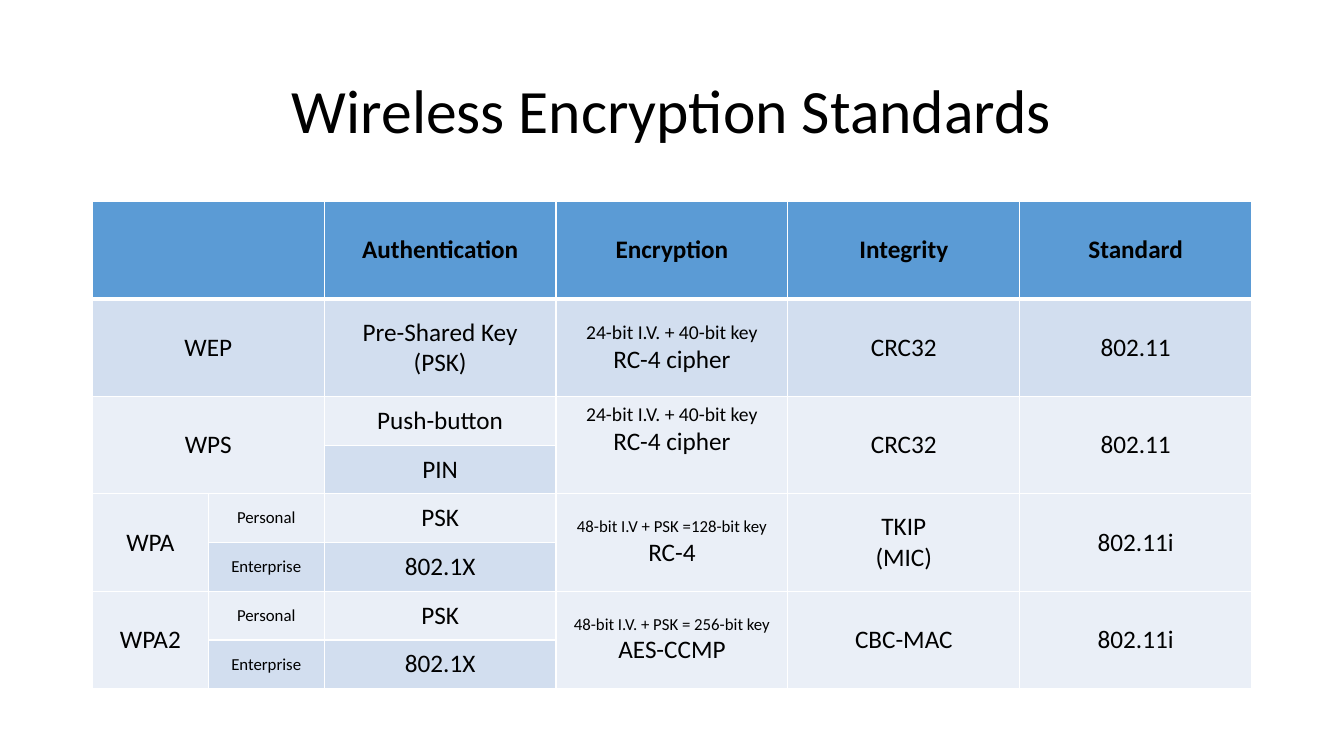
from pptx import Presentation
from pptx import util as u
from pptx.dml.color import RGBColor
from pptx.enum import text
from pptx.oxml import parse_xml
from pptx.oxml.ns import nsdecls

PX = u.Inches(1) // 300  # 300 px to the inch
BLACK, WHITE = "000000", "FFFFFF"
HEADER, DARK_BAND, LIGHT_BAND = "5B9BD5", "D2DEEF", "EAEFF7"

COLUMNS = [345, 345, 690, 690, 690, 690]
ROWS = [290, 290] + [145] * 6

# Each cell lists its lines; a (text, size) pair overrides the 18 pt default
PERSONAL, ENTERPRISE = [("Personal", 12)], [("Enterprise", 12)]
WEP_CIPHER = [("24-bit I.V. + 40-bit key", 14), "RC-4 cipher"]
CELLS = [
    [[], [], ["Authentication"], ["Encryption"], ["Integrity"], ["Standard"]],
    [["WEP"], [], ["Pre-Shared Key", "(PSK)"], WEP_CIPHER, ["CRC32"], ["802.11"]],
    [["WPS"], [], ["Push-button"], WEP_CIPHER, ["CRC32"], ["802.11"]],
    [[], [], ["PIN"]],
    [["WPA"], PERSONAL, ["PSK"], [("48-bit I.V + PSK =128-bit key", 12), "RC-4"],
     ["TKIP", "(MIC)"], ["802.11i"]],
    [[], ENTERPRISE, ["802.1X"]],
    [["WPA2"], PERSONAL, ["PSK"],
     [("48-bit I.V. + PSK = 256-bit key", 12), "AES-CCMP"], ["CBC-MAC"], ["802.11i"]],
    [[], ENTERPRISE, ["802.1X"]],
]


def px(n):
    return u.Emu(n * PX)


def color(value):
    return RGBColor.from_string(value)


def write_line(p, line, size, bold=False):
    p.alignment = text.PP_ALIGN.CENTER
    r = p.add_run()
    r.text = line
    fmt = {"name": "Calibri", "size": u.Pt(size), "bold": bold}
    for name, value in fmt.items():
        setattr(r.font, name, value)
    r.font.color.rgb = color(BLACK)


def set_borders(cell, widths):
    tc_pr = cell._tc.get_or_add_tcPr()
    for side in "LRTB":
        tc_pr.append(parse_xml(
            f'<a:ln{side} {nsdecls("a")} w="{u.Pt(widths.get(side, 1))}">'
            f'<a:solidFill><a:srgbClr val="{WHITE}"/></a:solidFill></a:ln{side}>'))


def add_title(s, box, title):
    sp = s.shapes.title
    for name, value in zip(("left", "top", "width", "height"), box):
        setattr(sp, name, px(value))
    tf = sp.text_frame
    tf.vertical_anchor = text.MSO_ANCHOR.MIDDLE
    tf.paragraphs[0].line_spacing = 0.9
    write_line(tf.paragraphs[0], title, 44)


def fill_cell(cell, row, lines):
    # Thick rule between the header and the body
    set_borders(cell, {0: {"B": 3}, 1: {"T": 3}}.get(row, {}))
    cell.fill.solid()
    band = DARK_BAND if row % 2 else LIGHT_BAND
    cell.fill.fore_color.rgb = color(band if row else HEADER)
    cell.vertical_anchor = text.MSO_ANCHOR.MIDDLE
    tf = cell.text_frame
    for i, line in enumerate(lines):
        p = tf.add_paragraph() if i else tf.paragraphs[0]
        words, size = line if isinstance(line, tuple) else (line, 18)
        write_line(p, words, size, bold=row == 0)


def add_standards_table(s, box):
    frame = s.shapes.add_table(len(ROWS), len(COLUMNS), *map(px, box))
    table = frame.table
    for column, width in zip(table.columns, COLUMNS):
        column.width = px(width)
    for row, height in zip(table.rows, ROWS):
        row.height = px(height)

    for r in range(len(ROWS)):
        for c in range(len(COLUMNS)):
            fill_cell(table.cell(r, c), r, CELLS[r][c] if c < len(CELLS[r]) else [])

    # Names without a Personal/Enterprise split span both name columns
    for first, last in ((0, 0), (1, 1), (2, 3)):
        table.cell(first, 0).merge(table.cell(last, 1))
    # Shared values span each pair of half rows
    for r in (2, 4, 6):
        for c in (3, 4, 5):
            table.cell(r, c).merge(table.cell(r + 1, c))
    for r in (4, 6):
        table.cell(r, 0).merge(table.cell(r + 1, 0))
    # The WPS cipher sits above the middle of its cell
    table.cell(2, 3).margin_bottom = px(107)


def main():
    prs = Presentation()
    prs.slide_width, prs.slide_height = px(4000), px(2250)
    s = prs.slides.add_slide(prs.slide_layouts[5])
    add_title(s, (275, 120, 3450, 435), "Wireless Encryption Standards")
    add_standards_table(s, (275, 600, sum(COLUMNS), sum(ROWS)))
    prs.save("out.pptx")


if __name__ == "__main__":
    main()
